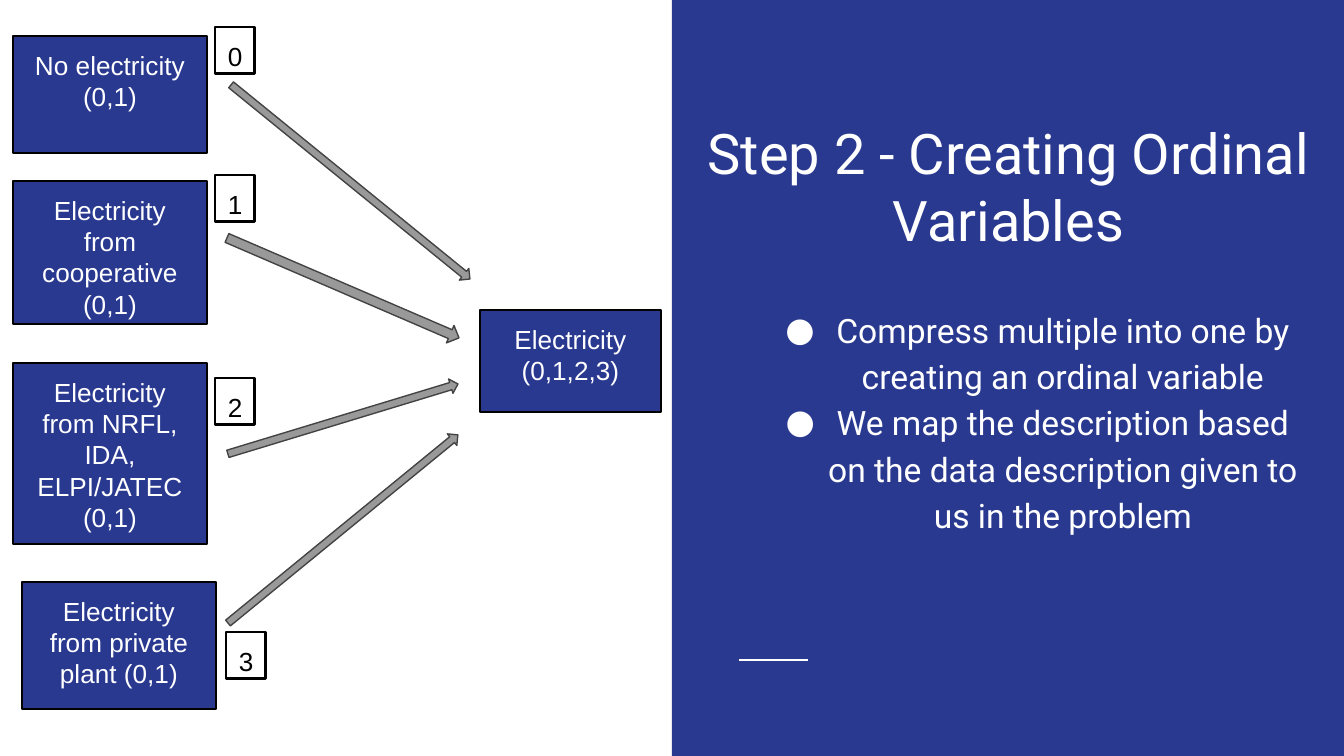
import math

from lxml import etree
from pptx import Presentation
from pptx import util as u
from pptx.dml.color import RGBColor
from pptx.enum import shapes, text
from pptx.oxml import ns

TITLE = "Step 2 - Creating Ordinal Variables"
POINTS = [
    "Compress multiple into one by creating an ordinal variable",
    "We map the description based on the data description given to us in the problem",
]
LEFT, CENTER = text.PP_ALIGN.LEFT, text.PP_ALIGN.CENTER

# Lengths are px: box, code tag with its alignment, arrow tail, tip and thickness
SOURCES = [
    {"label": "No electricity (0,1)", "box": (13, 36, 194, 117),
     "tag": (215, 27), "align": CENTER, "arrow": ((231, 85), (470, 279), 15)},
    {"label": "Electricity from cooperative (0,1)", "box": (13, 181, 194, 143),
     "tag": (215, 175), "align": LEFT, "arrow": ((227, 238), (459, 338), 19)},
    {"label": "Electricity from NRFL, IDA, ELPI/JATEC (0,1)", "box": (13, 363, 194, 181),
     "tag": (215, 378), "align": LEFT, "arrow": ((228, 454), (458, 384), 15)},
    {"label": "Electricity from private plant (0,1)", "box": (22, 582, 194, 127),
     "tag": (226, 632), "align": LEFT, "arrow": ((228, 623), (458, 435), 15)},
]
RESULT = {"label": "Electricity (0,1,2,3)", "box": (480, 310, 181, 102)}

SLIDE = (1344, 756)
PANEL = (672, 0, 672, 756)
ACCENT = ((739, 660), (808, 660))
TITLE_BOX = (694, 36, 629, 230)
POINTS_BOX = (747, 285, 565, 269)
TAG_SIZE = (40, 47)
INSET = 13
BULLET_INDENT, BULLET_HANG = 67, 51

THEME = {
    "navy": "2A3990", "white": "FFFFFF", "black": "000000",
    "arrow": "999999", "arrow_edge": "434343",
    "heading_font": "Roboto", "label_font": "Arial",
    "title": 30, "points": 18, "label": 14, "thin": 0.75, "thick": 1.5,
}
EMU_PER_PX = 914400 / 134.4


def px(length):
    return u.Emu(round(length * EMU_PER_PX))


def color(name):
    return RGBColor.from_string(THEME[name])


def write(shape, paragraphs, font, size, ink, align=CENTER, anchor=text.MSO_ANCHOR.TOP):
    frame = shape.text_frame
    margins = {f"margin_{side}": px(INSET) for side in ("left", "top", "right", "bottom")}
    settings = {"word_wrap": True, "auto_size": text.MSO_AUTO_SIZE.NONE,
                "vertical_anchor": anchor, **margins}
    for name, value in settings.items():
        setattr(frame, name, value)
    frame.text = "\n".join(paragraphs)
    for paragraph in frame.paragraphs:
        paragraph.alignment = align
        run_font = paragraph.runs[0].font
        run_font.name, run_font.size = THEME[font], u.Pt(THEME[size])
        run_font.color.rgb = color(ink)


def draw(slide, preset, box, fill=None, line=None, width="thin"):
    shape = slide.shapes.add_shape(preset, *map(px, box))
    shape.shadow.inherit = False
    if fill:
        shape.fill.solid()
        shape.fill.fore_color.rgb = color(fill)
    else:
        shape.fill.background()
    if line:
        shape.line.color.rgb = color(line)
        shape.line.width = u.Pt(THEME[width])
    else:
        shape.line.fill.background()
    return shape


def add_box(slide, label, box):
    shape = draw(slide, shapes.MSO_SHAPE.RECTANGLE, box, "navy", "black")
    write(shape, [label], "label_font", "label", "white")


def add_arrow(slide, tail, tip, thickness):
    """Block arrow turned so that it runs from tail to tip."""
    dx, dy = tip[0] - tail[0], tip[1] - tail[1]
    length = math.hypot(dx, dy)
    left = (tail[0] + tip[0] - length) / 2
    top = (tail[1] + tip[1] - thickness) / 2
    arrow = draw(slide, shapes.MSO_SHAPE.RIGHT_ARROW, (left, top, length, thickness),
                 "arrow", "arrow_edge")
    arrow.rotation = round(math.degrees(math.atan2(dy, dx)), 1)


def add_bullet(paragraph):
    paragraph.line_spacing = 1.15
    properties = paragraph._p.get_or_add_pPr()
    properties.set("marL", str(px(BULLET_INDENT)))
    properties.set("indent", str(-px(BULLET_HANG)))
    bullet_color = etree.SubElement(properties, ns.qn("a:buClr"))
    etree.SubElement(bullet_color, ns.qn("a:srgbClr"), val=THEME["white"])
    etree.SubElement(properties, ns.qn("a:buFont"), typeface=THEME["heading_font"])
    etree.SubElement(properties, ns.qn("a:buChar"), char="●")


def add_panel(slide):
    draw(slide, shapes.MSO_SHAPE.RECTANGLE, PANEL, "navy")
    accent = slide.shapes.add_connector(
        shapes.MSO_CONNECTOR.STRAIGHT, *(px(value) for point in ACCENT for value in point))
    accent.line.color.rgb = color("white")
    accent.line.width = u.Pt(THEME["thick"])
    etree.SubElement(accent.element.spPr, ns.qn("a:effectLst"))

    title = slide.shapes.title
    for name, value in zip(("left", "top", "width", "height"), TITLE_BOX):
        setattr(title, name, px(value))
    write(title, [TITLE], "heading_font", "title", "white", anchor=text.MSO_ANCHOR.BOTTOM)
    title.element.getparent().append(title.element)  # bring in front of the panel

    points = slide.shapes.add_textbox(*map(px, POINTS_BOX))
    write(points, POINTS, "heading_font", "points", "white", anchor=text.MSO_ANCHOR.MIDDLE)
    for paragraph in points.text_frame.paragraphs:
        add_bullet(paragraph)


def add_mapping(slide):
    for item in [*SOURCES, RESULT]:
        add_box(slide, item["label"], item["box"])
    for code, source in enumerate(SOURCES):
        tag = draw(slide, shapes.MSO_SHAPE.RECTANGLE, source["tag"] + TAG_SIZE,
                   line="black", width="thick")
        write(tag, [str(code)], "label_font", "label", "black", source["align"])
    for source in SOURCES:
        add_arrow(slide, *source["arrow"])


def main():
    deck = Presentation()
    deck.slide_width, deck.slide_height = map(px, SLIDE)
    slide = deck.slides.add_slide(deck.slide_layouts[5])
    add_panel(slide)
    add_mapping(slide)
    deck.save("out.pptx")


if __name__ == "__main__":
    main()
